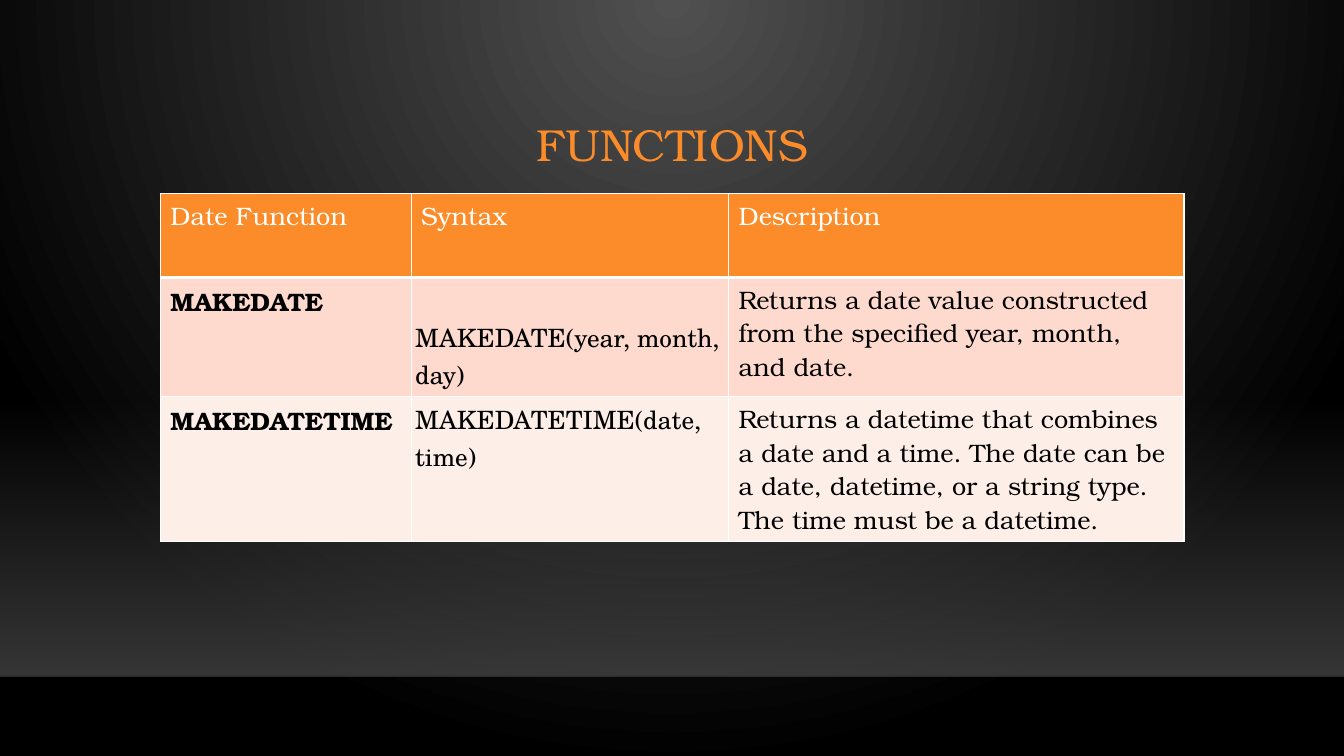
"""Build the slide that explains the date functions in a table."""
from lxml.etree import SubElement
from pptx import Presentation
from pptx.dml.color import RGBColor
from pptx.enum.shapes import MSO_CONNECTOR, MSO_SHAPE
from pptx.enum.text import MSO_ANCHOR, PP_ALIGN
from pptx.oxml.ns import qn
from pptx.util import Cm, Pt

TITLE = "FUNCTIONS"
ROWS = [
    ("Date Function", "Syntax", "Description"),
    ("MAKEDATE", "MAKEDATE(year, month, day)",
     "Returns a date value constructed from the specified year, month, and date."),
    ("MAKEDATETIME", "MAKEDATETIME(date, time)",
     "Returns a datetime that combines a date and a time. The date can be a date, "
     "datetime, or a string type. The time must be a datetime."),
]
COLORS = {"accent": "FB8C29", "header text": "FFFFFF", "body text": "000000",
          "border": "FFFFFF", "glow": "505050", "dark": "000000",
          "floor": "454545", "horizon": "000001"}
ROW_FILLS = [COLORS["accent"], "FDDACD", "FEEEE8"]
BODY_FONT, SYNTAX_FONT = "TeX Gyre Bonum", "TeX Gyre Schola"
COLUMN_WIDTHS = [Cm(6.32), Cm(8), Cm(11.48)]
ROW_HEIGHTS = [Cm(2.11), Cm(2.79), Cm(3.5)]
LEFT, WIDTH = Cm(4.04), Cm(25.8)
TABLE_TOP = Cm(4.88)
HORIZON = Cm(17.04)
FLOOR_HEIGHT = Cm(6.96)
SYNTAX_MARGIN, SYNTAX_DROP = Cm(0.1), Cm(1.04)


def rgb(name):
    return RGBColor.from_string(COLORS[name])


def add_color(parent, color, opacity=100):
    node = SubElement(parent, qn("a:srgbClr"), val=color)
    if opacity < 100:
        SubElement(node, qn("a:alpha"), val=str(opacity * 1000))


def set_gradient(fill, holder, stops):
    fill.gradient()
    gradient = holder.find(qn("a:gradFill"))
    for child in list(gradient):
        gradient.remove(child)
    stop_list = SubElement(gradient, qn("a:gsLst"))
    for position, name, opacity in stops:
        stop = SubElement(stop_list, qn("a:gs"), pos=str(position * 1000))
        add_color(stop, COLORS[name], opacity)
    return gradient


def set_borders(cell, bottom):
    properties = cell._tc.get_or_add_tcPr()
    edges = [("a:lnL", 1), ("a:lnR", 1), ("a:lnT", 1), ("a:lnB", bottom)]
    for index, (tag, points) in enumerate(edges):
        edge = SubElement(properties, qn(tag), w=str(Pt(points)))
        add_color(SubElement(edge, qn("a:solidFill")), COLORS["border"])
        properties.insert(index, edge)


presentation = Presentation()
presentation.slide_width, presentation.slide_height = Cm(33.87), Cm(19.05)
slide = presentation.slides.add_slide(presentation.slide_layouts[5])

backdrop = slide.background.fill
backdrop_holder = slide.element.cSld.find(qn("p:bg")).find(qn("p:bgPr"))
glow = set_gradient(backdrop, backdrop_holder, [(0, "glow", 100), (100, "dark", 100)])
SubElement(SubElement(glow, qn("a:path"), path="circle"), qn("a:fillToRect"),
           l="43000", t="0", r="43000", b="100000")

floor = slide.shapes.add_shape(MSO_SHAPE.RECTANGLE, 0, HORIZON - FLOOR_HEIGHT,
                               presentation.slide_width, FLOOR_HEIGHT)
floor.shadow.inherit = False
floor.line.fill.background()
fade = set_gradient(floor.fill, floor.element.spPr, [(0, "floor", 0), (100, "floor", 80)])
SubElement(fade, qn("a:lin"), ang="5400000", scaled="0")

horizon = slide.shapes.add_connector(MSO_CONNECTOR.STRAIGHT, 0, HORIZON,
                                     presentation.slide_width, HORIZON)
horizon.line.width = Pt(1)
horizon.line.color.rgb = rgb("horizon")
horizon_color = next(horizon.element.spPr.iter(qn("a:srgbClr")))
SubElement(horizon_color, qn("a:alpha"), val="20000")
SubElement(horizon.element.spPr, qn("a:effectLst"))

title = slide.shapes.title
title.left, title.top, title.width, title.height = LEFT, Cm(2.24), WIDTH, Cm(2.92)
title.text_frame.text = TITLE
title.text_frame.vertical_anchor = MSO_ANCHOR.MIDDLE
heading = title.text_frame.paragraphs[0]
heading.alignment = PP_ALIGN.CENTER
heading.line_spacing = 0.9
heading.font.name, heading.font.size = BODY_FONT, Pt(32)
heading.font.color.rgb = rgb("accent")

table = slide.shapes.add_table(len(ROWS), len(COLUMN_WIDTHS), LEFT, TABLE_TOP,
                               WIDTH, sum(ROW_HEIGHTS)).table
for column, width in zip(table.columns, COLUMN_WIDTHS):
    column.width = width
for row, height in zip(table.rows, ROW_HEIGHTS):
    row.height = height

for r, texts in enumerate(ROWS):
    is_header = r == 0
    for c, text in enumerate(texts):
        is_syntax = c == 1 and not is_header
        cell = table.cell(r, c)
        cell.text = text
        cell.fill.solid()
        cell.fill.fore_color.rgb = RGBColor.from_string(ROW_FILLS[r])
        set_borders(cell, bottom=3 if is_header else 1)
        if is_syntax:
            cell.margin_left = cell.margin_right = SYNTAX_MARGIN
            cell.margin_bottom = SYNTAX_MARGIN
            cell.margin_top = SYNTAX_DROP if r == 1 else SYNTAX_MARGIN
        font = cell.text_frame.paragraphs[0].font
        font.name = SYNTAX_FONT if is_syntax else BODY_FONT
        font.size = Pt(18)
        font.bold = c == 0 and not is_header
        font.color.rgb = rgb("header text" if is_header else "body text")

presentation.save("out.pptx")
